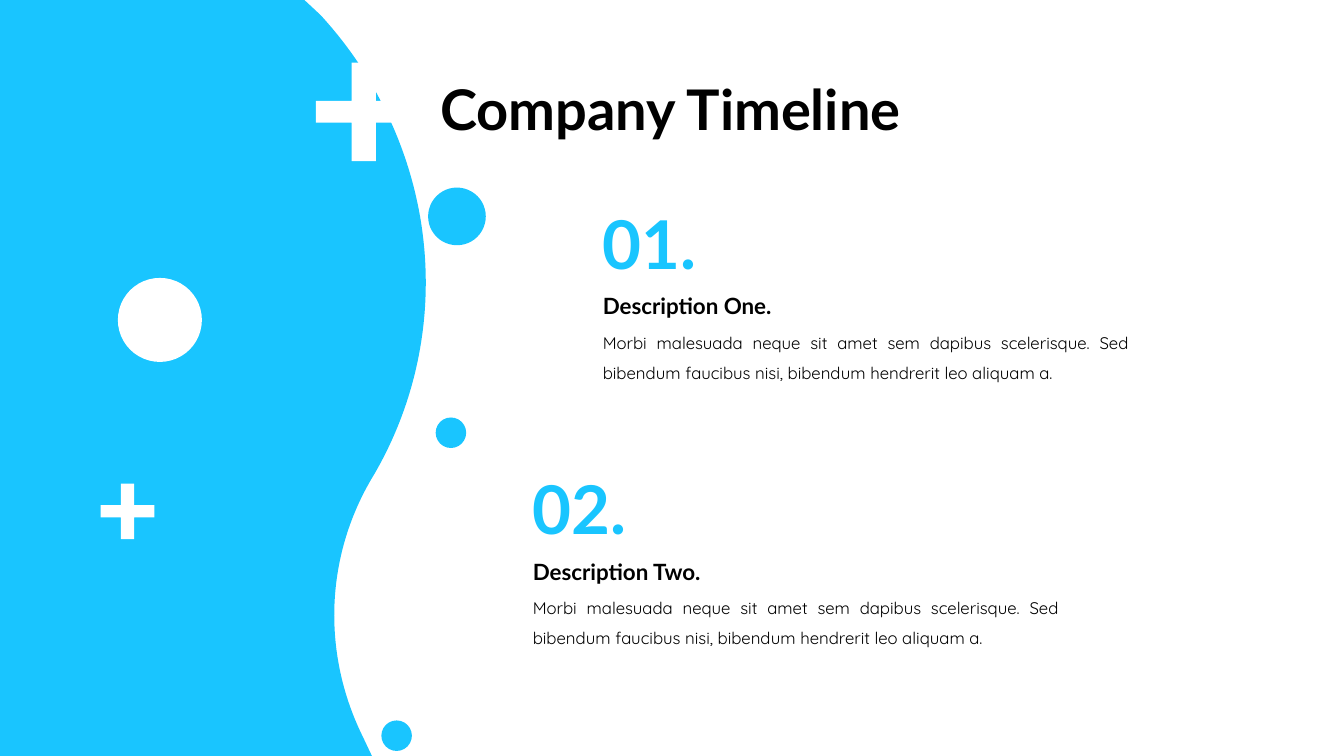
from dataclasses import dataclass

from lxml.etree import SubElement
from pptx import Presentation
from pptx.dml.color import RGBColor
from pptx.enum.shapes import MSO_SHAPE
from pptx.enum.text import MSO_ANCHOR, MSO_AUTO_SIZE, PP_ALIGN
from pptx.oxml.ns import qn
from pptx.shapes.autoshape import Shape
from pptx.slide import Slide
from pptx.text.text import TextFrame
from pptx.util import Pt

Point = tuple[float, float]


@dataclass(frozen=True)
class Theme:
    accent: RGBColor = RGBColor(0x19, 0xC5, 0xFF)
    white: RGBColor = RGBColor(0xFF, 0xFF, 0xFF)
    ink: RGBColor = RGBColor(0, 0, 0)
    heading_font: str = "Lato"
    body_font: str = "Quicksand"
    title_size: float = 40
    number_size: float = 48
    heading_size: float = 16
    body_size: float = 12


@dataclass(frozen=True)
class Milestone:
    number: str
    heading: str
    body: str
    left: float
    top: float


@dataclass(frozen=True)
class Dot:
    left: float
    top: float
    size: float
    color: RGBColor


@dataclass(frozen=True)
class Plus:
    center_x: float
    center_y: float
    width: float
    height: float
    upright: float  # thickness of the vertical bar
    crossbar: float  # thickness of the horizontal bar


THEME = Theme()
WIDTH, HEIGHT = 960, 540
BODY = ("Morbi malesuada neque sit amet sem dapibus scelerisque. Sed "
        "bibendum faucibus nisi, bibendum hendrerit leo aliquam a.")
MILESTONES = [
    Milestone("01.", "Description One.", BODY, 423.5, 140.8),
    Milestone("02.", "Description Two.", BODY, 373.5, 330.2),
]
DOTS = [
    Dot(311.2, 298.2, 21.8, THEME.accent),
    Dot(305.8, 134, 41.2, THEME.accent),
    Dot(272.4, 514.6, 21.8, THEME.accent),
    Dot(84.2, 198.5, 60, THEME.white),
]
PLUSES = [
    Plus(259.9, 79.9, 68.6, 70.4, 17.4, 15.6),
    Plus(91.1, 365.2, 38.4, 39.6, 9.6, 8.8),
]
WAVE_WIDTH = 303.8
WAVE_TOP: list[Point] = [(0, 0), (217.4, 0), (229, 10.8)]
# Each curve gives two control points and an end point
WAVE_CURVES: list[tuple[Point, Point, Point]] = [
    ((245.5, 28.8), (260.6, 49.7), (272.2, 72.7)),
    ((319, 162.7), (312.5, 264.2), (265, 342.7)),
    ((231.8, 399.6), (230.4, 468), (259.2, 526.3)),
]
WAVE_BOTTOM: list[Point] = [(265.7, HEIGHT), (0, HEIGHT)]


def paint(shape: Shape, color: RGBColor) -> None:
    shape.shadow.inherit = False
    shape.fill.solid()
    shape.fill.fore_color.rgb = color
    shape.line.fill.background()


def add_outline(slide: Slide, points: list[Point], color: RGBColor) -> Shape:
    corners = [(Pt(x), Pt(y)) for x, y in points]
    builder = slide.shapes.build_freeform(*corners[0])
    builder.add_line_segments(corners[1:], close=True)
    shape = builder.convert_to_shape()
    paint(shape, color)
    return shape


def add_wave(slide: Slide) -> None:
    curve_points = [point for curve in WAVE_CURVES for point in curve]
    wave = add_outline(slide, WAVE_TOP + curve_points + WAVE_BOTTOM, THEME.accent)
    outline = wave._element.xpath(".//a:path")[0]

    # Join every three line segments into one Bézier curve
    first = len(WAVE_TOP) - 1
    segments = outline.findall(qn("a:lnTo"))[first:first + len(curve_points)]
    for start in range(0, len(segments), 3):
        trio = segments[start:start + 3]
        curve = SubElement(outline, qn("a:cubicBezTo"))
        trio[0].addprevious(curve)
        for segment in trio:
            curve.append(segment[0])
            outline.remove(segment)

    # Fit the frame to the curve rather than to its control points
    outline.set("w", str(int(Pt(WAVE_WIDTH))))
    wave.width = Pt(WAVE_WIDTH)


def add_dot(slide: Slide, dot: Dot) -> None:
    circle = slide.shapes.add_shape(
        MSO_SHAPE.OVAL, Pt(dot.left), Pt(dot.top), Pt(dot.size), Pt(dot.size))
    paint(circle, dot.color)


def add_plus(slide: Slide, plus: Plus) -> None:
    w, h = plus.width / 2, plus.height / 2
    u, c = plus.upright / 2, plus.crossbar / 2
    offsets = [(-u, -h), (u, -h), (u, -c), (w, -c), (w, c), (u, c),
               (u, h), (-u, h), (-u, c), (-w, c), (-w, -c), (-u, -c)]
    add_outline(slide, [(plus.center_x + x, plus.center_y + y) for x, y in offsets],
                THEME.white)


def write(frame: TextFrame, text: str, font: str, size: float, color: RGBColor,
          bold: bool, spacing: float, align: PP_ALIGN = PP_ALIGN.LEFT) -> None:
    frame.word_wrap = True
    frame.text = text
    para = frame.paragraphs[0]
    para.alignment = align
    para.line_spacing = spacing
    para.space_before = Pt(0)
    for span in para.runs:
        span.font.name = font
        span.font.size = Pt(size)
        span.font.bold = bold
        span.font.color.rgb = color


def add_box(slide: Slide, left: float, top: float, width: float,
            height: float) -> TextFrame:
    box = slide.shapes.add_textbox(Pt(left), Pt(top), Pt(width), Pt(height))
    box.text_frame.auto_size = MSO_AUTO_SIZE.SHAPE_TO_FIT_TEXT
    return box.text_frame


def add_milestone(slide: Slide, item: Milestone) -> None:
    write(add_box(slide, item.left, item.top + 86, 390.2, 51.1), item.body,
          THEME.body_font, THEME.body_size, THEME.ink, False, 1.5, PP_ALIGN.JUSTIFY)
    write(add_box(slide, item.left, item.top + 55, 226.1, 32.4), item.heading,
          THEME.heading_font, THEME.heading_size, THEME.ink, True, 1.5)
    write(add_box(slide, item.left, item.top, 96.5, 65.5), item.number,
          THEME.heading_font, THEME.number_size, THEME.accent, True, 1.0)


def add_title(slide: Slide, text: str) -> None:
    title = slide.shapes.title
    title.left, title.top = Pt(307.4), Pt(28.1)
    title.width, title.height = Pt(526.3), Pt(104.4)
    frame = title.text_frame
    frame.auto_size = MSO_AUTO_SIZE.NONE
    frame.vertical_anchor = MSO_ANCHOR.MIDDLE
    write(frame, text, THEME.heading_font, THEME.title_size, THEME.ink, True, 0.9)


def main() -> None:
    deck = Presentation()
    deck.slide_width, deck.slide_height = Pt(WIDTH), Pt(HEIGHT)
    page = deck.slides.add_slide(deck.slide_layouts.get_by_name("Title Only"))

    # Wave panel, milestones, then dots and plus signs
    add_wave(page)
    for item in MILESTONES:
        add_milestone(page, item)
    for dot in DOTS:
        add_dot(page, dot)
    for plus in PLUSES:
        add_plus(page, plus)

    add_title(page, "Company Timeline")
    deck.save("out.pptx")


if __name__ == "__main__":
    main()
